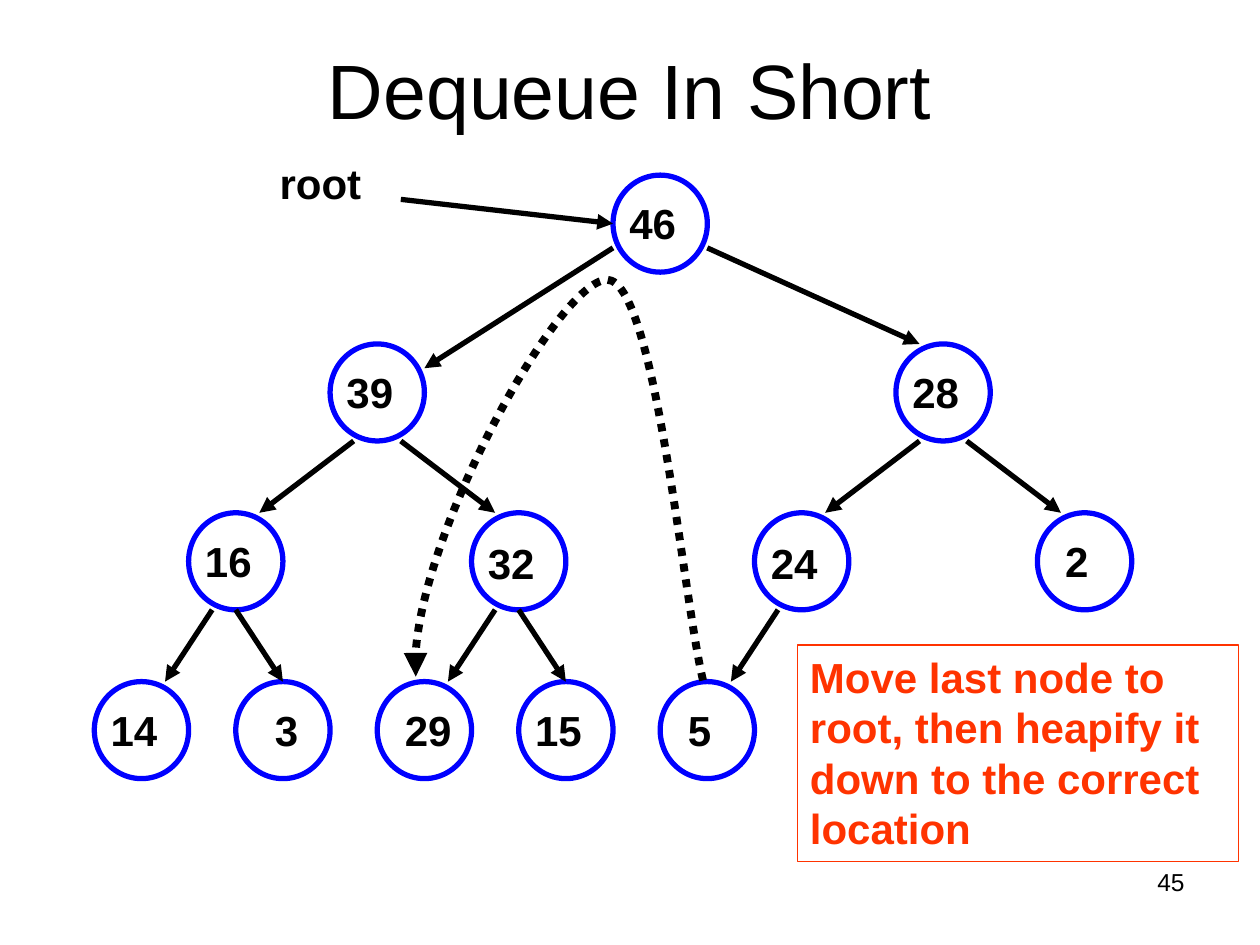
"""Build the slide that sums up dequeue on a binary heap."""
from lxml import etree
from pptx import Presentation, util as u
from pptx.dml.color import RGBColor
from pptx.enum import dml, shapes, text
from pptx.oxml import ns

BLACK = RGBColor(0x00, 0x00, 0x00)
WHITE = RGBColor(0xFF, 0xFF, 0xFF)
BLUE = RGBColor(0x00, 0x00, 0xFF)
ORANGE = RGBColor(0xFF, 0x33, 0x00)

presentation = Presentation()
presentation.slide_width = u.Inches(10)
presentation.slide_height = u.Inches(7.5)
slide = presentation.slides.add_slide(presentation.slide_layouts[6])

COLUMN = 10 / 26.72
TOP, LEVEL = 1.39, 1.34
NODE_WIDTH, NODE_HEIGHT = 2 * COLUMN, 0.77
BOTTOM = NODE_HEIGHT / LEVEL
QUARTER = BOTTOM / 4
SPACE = 0.09


def add_text(left, top, width, height, wording, size=24, bold=True,
             color=BLACK, align=text.PP_ALIGN.LEFT, anchor=text.MSO_ANCHOR.TOP):
    box = slide.shapes.add_textbox(*map(u.Inches, (left, top, width, height)))
    frame = box.text_frame
    frame.word_wrap = True
    frame.vertical_anchor = anchor
    paragraph = frame.paragraphs[0]
    paragraph.alignment = align
    run = paragraph.add_run()
    run.text = wording
    run.font.name = "Arial"
    run.font.size = u.Pt(size)
    run.font.bold = bold
    run.font.color.rgb = color
    return box


def style_line(shape, width):
    shape.line.color.rgb = BLACK
    shape.line.width = u.Pt(width)
    properties = shape._element.spPr
    etree.SubElement(shape.line._get_or_add_ln(), ns.qn("a:tailEnd"), type="triangle")
    if properties.find(ns.qn("a:effectLst")) is None:
        etree.SubElement(properties, ns.qn("a:effectLst"))


add_text(7.17, 6.83, 2.33, 0.52, "45", 14, False, align=text.PP_ALIGN.RIGHT)
add_text(0.5, 0.08, 9, 1.25, "Dequeue In Short", 44, False,
         align=text.PP_ALIGN.CENTER, anchor=text.MSO_ANCHOR.MIDDLE)
add_text(2.12, 1.2, 1.25, 0.57, "root")

nodes = [
    ("46", 13, 0, 1, 0), ("39", 7, 1, 1, 0), ("28", 19, 1, 1, 0),
    ("16", 4, 2, 1, 0), ("32", 10, 2, 1, 0.02), ("24", 16, 2, 1, 0.02),
    ("2", 22, 2, 2, 0), ("14", 2, 3, 1, 0), ("3", 5, 3, 3, 0),
    ("29", 8, 3, 2, 0), ("15", 11, 3, 1, 0), ("5", 14, 3, 2, 0),
]
for value, column, level, indent, drop in nodes:
    left, top = column * COLUMN, TOP + level * LEVEL
    circle = slide.shapes.add_shape(
        shapes.MSO_SHAPE.OVAL, *map(u.Inches, (left, top, NODE_WIDTH, NODE_HEIGHT)))
    circle.shadow.inherit = False
    circle.fill.solid()
    circle.fill.fore_color.rgb = WHITE
    circle.line.color.rgb = BLUE
    circle.line.width = u.Pt(3)
    label = add_text(left - 0.06, top + 0.13 + drop, 0.94, 0.76, value)
    label.text_frame.margin_left = u.Inches(0.1 + indent * SPACE)

arrows = [
    (8.5, QUARTER, 13, 2 * QUARTER),
    (13, 3 * QUARTER, 9, 1 + QUARTER),
    (15, 3 * QUARTER, 19.5, 1),
]
for column in (7, 19):
    arrows.append((column + 0.5, 1 + BOTTOM, column - 1.5, 2))
    arrows.append((column + 1.5, 1 + BOTTOM, column + 3.5, 2))
for column in (4, 10, 16):
    arrows.append((column + 0.5, 2 + BOTTOM, column - 0.5, 3))
for column in (4, 10):
    arrows.append((column + 1, 2 + BOTTOM, column + 2, 3))
for start_column, start_level, end_column, end_level in arrows:
    arrow = slide.shapes.add_connector(
        shapes.MSO_CONNECTOR.STRAIGHT,
        u.Inches(start_column * COLUMN), u.Inches(TOP + start_level * LEVEL),
        u.Inches(end_column * COLUMN), u.Inches(TOP + end_level * LEVEL))
    style_line(arrow, 3)

note = add_text(6.33, 5.12, 3.5, 1.72,
                "Move last node to root, then heapify it down to the correct location",
                color=ORANGE)
note.text_frame.auto_size = text.MSO_AUTO_SIZE.SHAPE_TO_FIT_TEXT
note.line.color.rgb = ORANGE
note.line.width = u.Pt(0.75)

curve = [(5.42, 4.74), (5.2, 2.23), (4.82, 2.22),
         (4.44, 2.22), (3.22, 4.42), (3.3, 5.37)]
builder = slide.shapes.build_freeform(u.Inches(5.58), u.Inches(5.4))
builder.add_line_segments([(u.Inches(x), u.Inches(y)) for x, y in curve], close=False)
move = builder.convert_to_shape()
move.shadow.inherit = False
move.fill.background()
outline = move._element.spPr.find(".//" + ns.qn("a:path"))
segments = outline.findall(ns.qn("a:lnTo"))
for first in range(0, len(segments), 3):
    bezier = etree.SubElement(outline, ns.qn("a:cubicBezTo"))
    for segment in segments[first:first + 3]:
        bezier.append(segment[0])
        outline.remove(segment)
move.line.dash_style = dml.MSO_LINE.ROUND_DOT
move.line._get_or_add_ln().find(ns.qn("a:prstDash")).set("val", "sysDot")
style_line(move, 4.5)

presentation.save("out.pptx")
